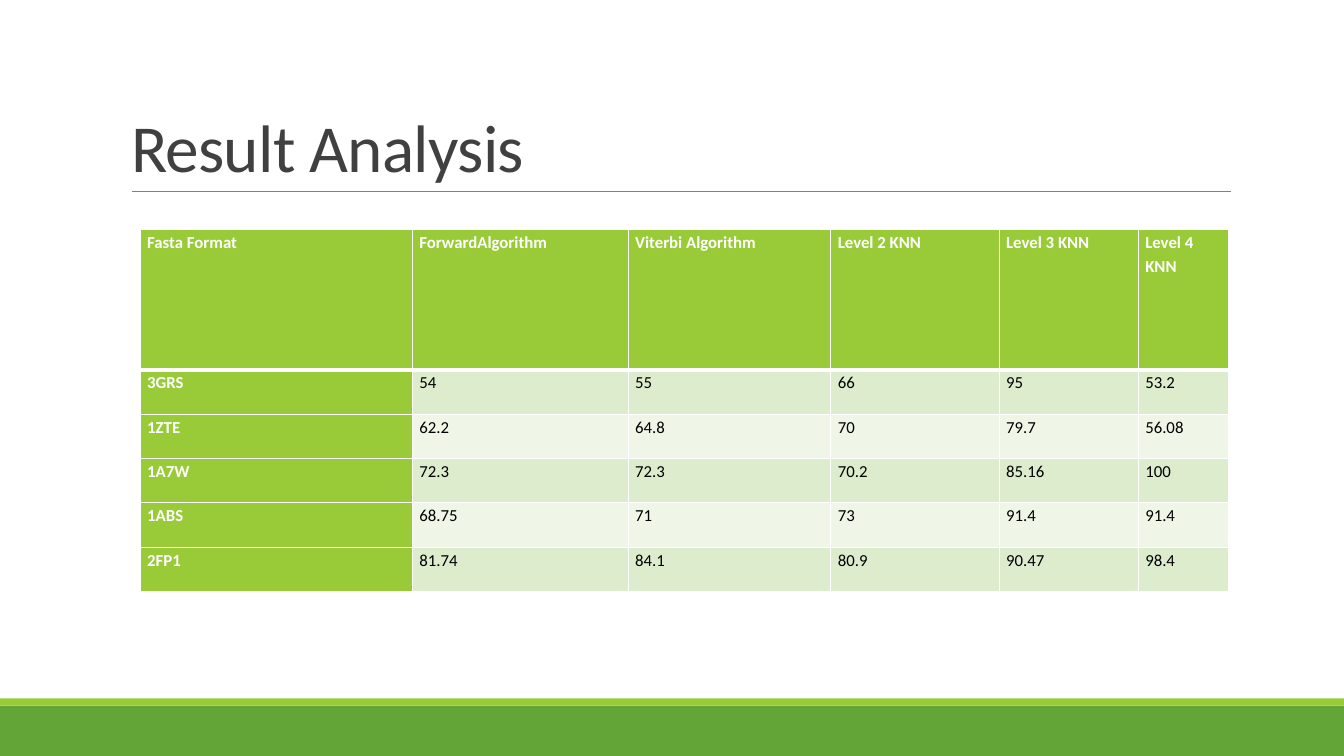
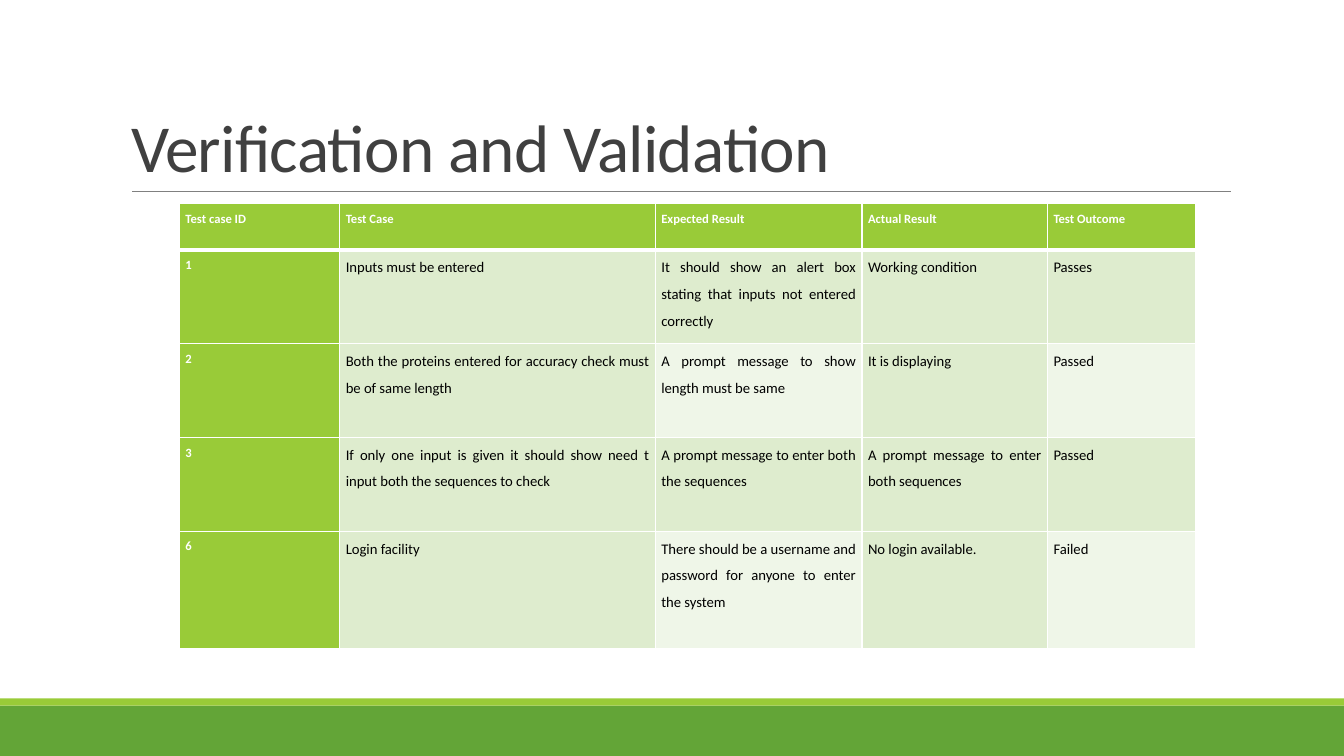
from lxml.etree import SubElement
from pptx import Presentation
from pptx.dml.color import RGBColor
from pptx.enum.shapes import MSO_CONNECTOR, MSO_SHAPE
from pptx.enum.text import MSO_ANCHOR, MSO_AUTO_SIZE, PP_ALIGN
from pptx.oxml.ns import qn
from pptx.util import Inches, Pt

FONT = "Calibri"
GREEN, LIME = "63A537", "99CB38"
TINT, PALE = "DEECCE", "EFF6E8"
WHITE, BLACK, GREY, RULE = "FFFFFF", "000000", "404040", "808080"

BANDS = [(7, 0.5, GREEN), (6.93, 0.07, LIME)]

SLIDES = [
    {
        "title": "Result Analysis",
        "origin": (1.39, 2.28),
        "widths": [2.7, 2.14, 2.01, 1.67, 1.38, 0.9],
        "heights": [1.39] + [0.44] * 5,
        "inset": 0.07,
        "tinted_columns": [],
        "heading_size": 12,
        "body_size": 12,
        "spacing": 1.15,
        "align": PP_ALIGN.LEFT,
        "rows": [
            ("Fasta Format", "ForwardAlgorithm", "Viterbi Algorithm",
             "Level 2 KNN", "Level 3 KNN", "Level 4 KNN"),
            ("3GRS", "54", "55", "66", "95", "53.2"),
            ("1ZTE", "62.2", "64.8", "70", "79.7", "56.08"),
            ("1A7W", "72.3", "72.3", "70.2", "85.16", "100"),
            ("1ABS", "68.75", "71", "73", "91.4", "91.4"),
            ("2FP1", "81.74", "84.1", "80.9", "90.47", "98.4"),
        ],
    },
    {
        "title": "Verification and Validation",
        "origin": (1.78, 2.02),
        "widths": [1.59, 3.13, 2.05, 1.84, 1.47],
        "heights": [0.46, 0.93, 0.93, 0.93, 1.16],
        "inset": 0.06,
        "tinted_columns": [1, 3],
        "heading_size": 9,
        "body_size": 10.5,
        "spacing": 1.5,
        "align": PP_ALIGN.JUSTIFY,
        "rows": [
            ("Test case ID", "Test Case", "Expected Result", "Actual Result",
             "Test Outcome"),
            ("1", "Inputs must be entered",
             "It should show an alert box stating that inputs not entered correctly",
             "Working condition", "Passes"),
            ("2", "Both the proteins entered for accuracy check must be of same length",
             "A prompt message to show length must be same",
             "It is displaying", "Passed"),
            ("3", "If only one input is given it should show need t input both "
             "the sequences to check",
             "A prompt message to enter both the sequences",
             "A prompt message to enter both sequences", "Passed"),
            ("6", "Login facility",
             "There should be a username and password for anyone to enter the system",
             "No login available.", "Failed"),
        ],
    },
]


def rgb(value):
    return RGBColor.from_string(value)


def write(frame, text, size, color, bold=False, spacing=1.0,
          align=PP_ALIGN.LEFT, tracking=0):
    paragraph = frame.paragraphs[0]
    paragraph.alignment = align
    paragraph.line_spacing = spacing
    run = paragraph.add_run()
    run.text = text
    run.font.name = FONT
    run.font.size = Pt(size)
    run.font.bold = bold
    run.font.color.rgb = rgb(color)
    if tracking:
        run.font._element.set("spc", str(int(tracking * 100)))


def add_frame(slide, title):
    for top, height, color in BANDS:
        band = slide.shapes.add_shape(
            MSO_SHAPE.RECTANGLE, 0, Inches(top), Inches(13.33), Inches(height))
        band.shadow.inherit = False
        band.fill.solid()
        band.fill.fore_color.rgb = rgb(color)
        band.line.fill.background()

    rule = slide.shapes.add_connector(
        MSO_CONNECTOR.STRAIGHT, Inches(1.31), Inches(1.9), Inches(12.21), Inches(1.9))
    rule.line.color.rgb = rgb(RULE)
    rule.line.width = Pt(0.5)
    SubElement(rule._element.spPr, qn("a:effectLst"))

    heading = slide.shapes.title
    heading.left, heading.top = Inches(1.2), Inches(0.31)
    heading.width, heading.height = Inches(11), Inches(1.59)
    frame = heading.text_frame
    frame.word_wrap = True
    frame.auto_size = MSO_AUTO_SIZE.NONE
    frame.vertical_anchor = MSO_ANCHOR.BOTTOM
    write(frame, title, 48, GREY, spacing=0.85, tracking=-0.5)


def set_borders(cell, row):
    widths = {"L": 1, "R": 1, "T": 3 if row == 1 else 1, "B": 3 if row == 0 else 1}
    properties = cell._tc.get_or_add_tcPr()
    for side, width in widths.items():
        border = SubElement(properties, qn("a:ln" + side), w=str(Pt(width)))
        fill = SubElement(border, qn("a:solidFill"))
        SubElement(fill, qn("a:srgbClr"), val=WHITE)


def add_grid(slide, content):
    rows, widths, heights = content["rows"], content["widths"], content["heights"]
    left, top = content["origin"]
    table = slide.shapes.add_table(
        len(rows), len(widths), Inches(left), Inches(top),
        Inches(sum(widths)), Inches(sum(heights))).table
    table.horz_banding = False
    for column, width in zip(table.columns, widths):
        column.width = Inches(width)
    for line, height in zip(table.rows, heights):
        line.height = Inches(height)

    for r, values in enumerate(rows):
        for c, value in enumerate(values):
            cell = table.cell(r, c)
            is_heading = r == 0 or c == 0
            tinted = r % 2 == 1 or c in content["tinted_columns"]
            cell.margin_left = cell.margin_right = Inches(content["inset"])
            cell.margin_top = cell.margin_bottom = 0
            set_borders(cell, r)
            cell.fill.solid()
            cell.fill.fore_color.rgb = rgb(
                LIME if is_heading else TINT if tinted else PALE)
            write(cell.text_frame, value,
                  content["heading_size" if is_heading else "body_size"],
                  WHITE if is_heading else BLACK, bold=is_heading,
                  spacing=content["spacing"], align=content["align"])


deck = Presentation()
deck.slide_width, deck.slide_height = Inches(13.33), Inches(7.5)
title_only = deck.slide_layouts[5]
for content in SLIDES:
    slide = deck.slides.add_slide(title_only)
    add_frame(slide, content["title"])
    add_grid(slide, content)
deck.save("out.pptx")
